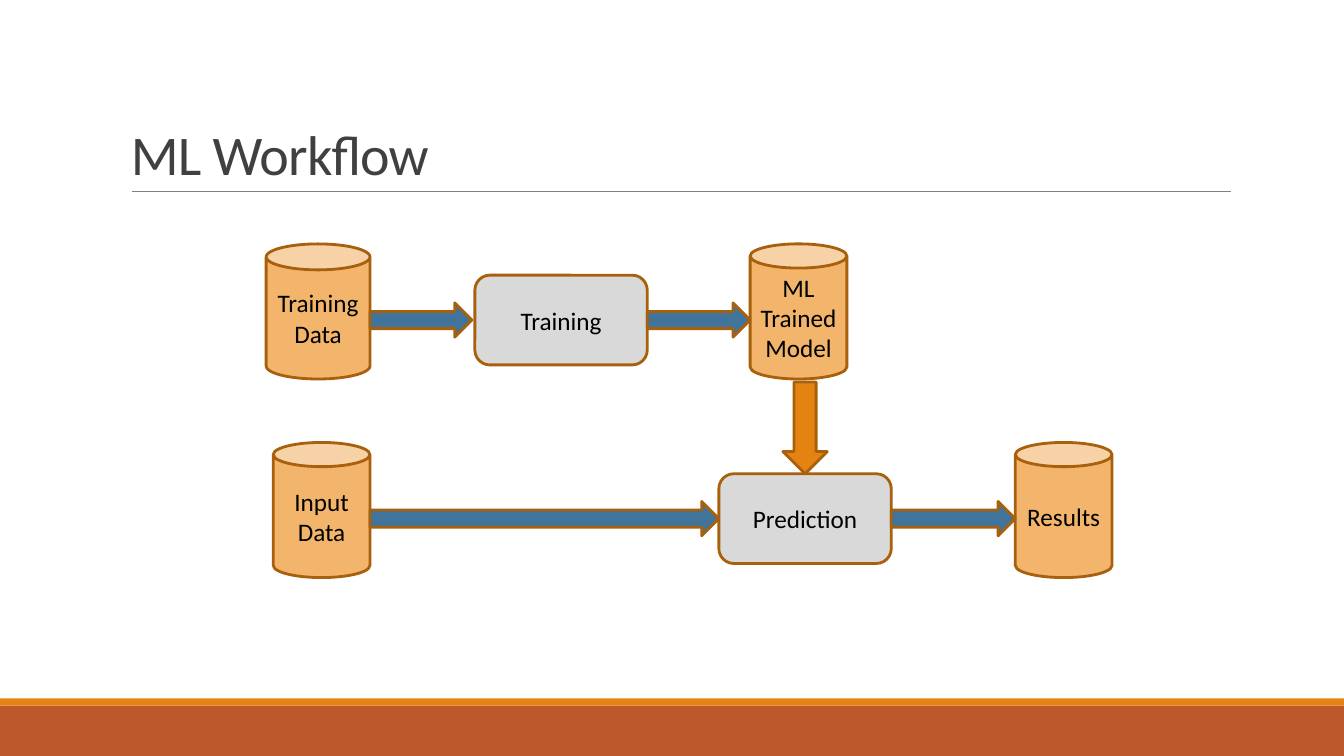
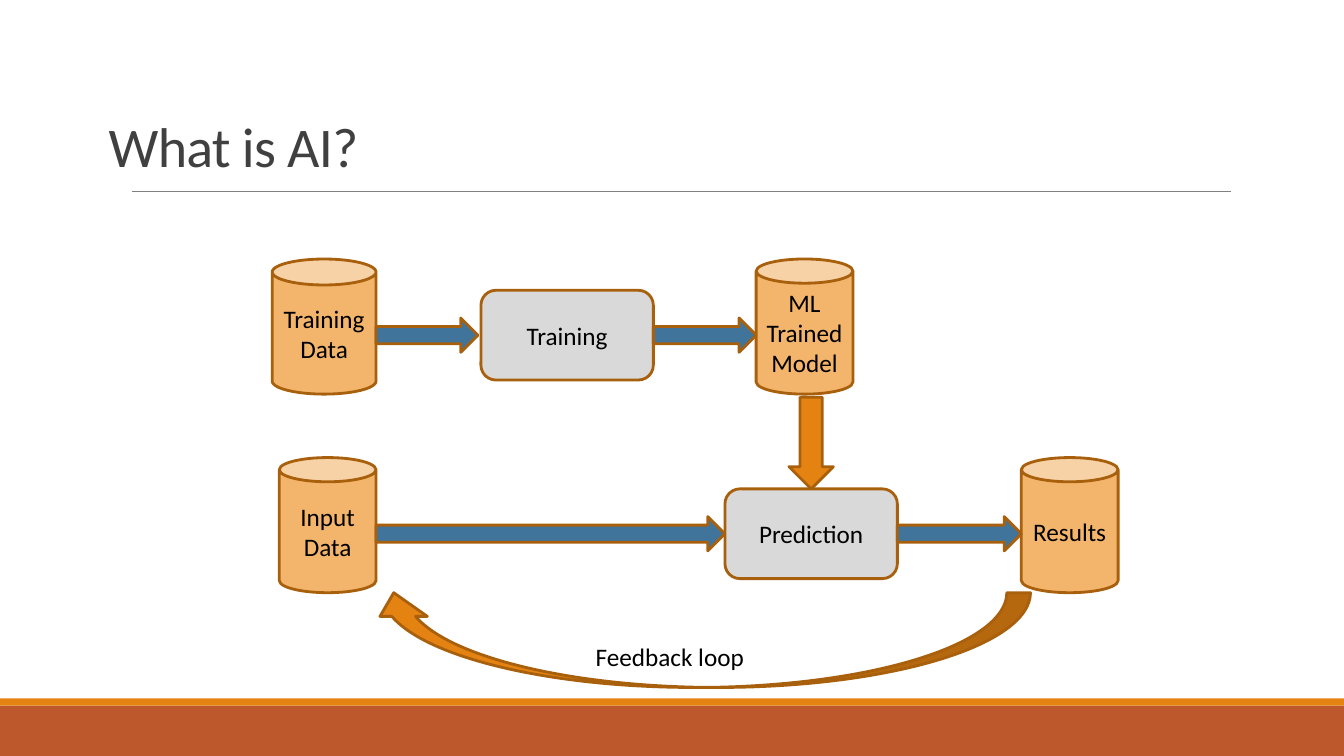
from pptx import Presentation
from pptx.dml.color import RGBColor
from pptx.enum.shapes import MSO_CONNECTOR as Connector, MSO_SHAPE as Shape
from pptx.enum.text import MSO_ANCHOR as Anchor, PP_ALIGN as Align
from pptx.oxml.ns import qn
from pptx.util import Emu, Pt
from lxml import etree

# One px is a hundredth of an inch
PX = 9144
SLIDE_WIDTH, SLIDE_HEIGHT = 1333, 750

RUST = RGBColor(0xBD, 0x58, 0x2C)
ORANGE = RGBColor(0xE4, 0x83, 0x12)
BROWN = RGBColor(0xA8, 0x60, 0x0D)
PEACH = RGBColor(0xF3, 0xB5, 0x6C)
LIGHT_GRAY = RGBColor(0xD9, 0xD9, 0xD9)
RULE_GRAY = RGBColor(0x80, 0x80, 0x80)
TITLE_GRAY = RGBColor(0x40, 0x40, 0x40)
BLUE = RGBColor(0x40, 0x74, 0x9B)
BLACK = RGBColor(0, 0, 0)

BODY_FONT = {"name": "Calibri", "size": Pt(18)}
TITLE_FONT = {"name": "Calibri", "size": Pt(40)}

# Workflow parts, relative to the diagram box
DATA, PROCESS = (Shape.CAN, PEACH), (Shape.ROUNDED_RECTANGLE, LIGHT_GRAY)
NODES = {
    "Training Data": (DATA, (0, 0, 103, 134)),
    "Input\nData": (DATA, (7, 197, 96, 134)),
    "ML\nTrained\nModel": (DATA, (480, 0, 96, 134)),
    "Results": (DATA, (743, 197, 96, 134)),
    "Training": (PROCESS, (207, 31, 171, 89)),
    "Prediction": (PROCESS, (449, 228, 171, 89)),
}
# Source, target, gap left before the target
LINKS = [
    ("Training Data", "Training", 3),
    ("Training", "ML\nTrained\nModel", 0),
    ("Input\nData", "Prediction", 0),
    ("Prediction", "Results", 0),
]
ARROW_HEIGHT, DOWN_ARROW_WIDTH, DOWN_ARROW_GAP = 34, 44, 3
DIAGRAM_HEIGHT = 331


def to_emu(*lengths):
    return [Emu(round(length * PX)) for length in lengths]


def add_block(slide, kind, box, fill, line=BROWN):
    shape = slide.shapes.add_shape(kind, *to_emu(*box))
    shape.shadow.inherit = False
    shape.fill.solid()
    shape.fill.fore_color.rgb = fill
    if line is None:
        shape.line.fill.background()
    else:
        shape.line.color.rgb = line
        shape.line.width = Pt(2)
    return shape


def write_text(shape, text, font=BODY_FONT, color=BLACK, align=Align.LEFT,
               anchor=Anchor.TOP, side_inset=10):
    frame = shape.text_frame
    inset, = to_emu(side_inset)
    frame_format = {"word_wrap": True, "vertical_anchor": anchor,
                    "margin_left": inset, "margin_right": inset}
    for name, value in frame_format.items():
        setattr(frame, name, value)
    paragraph = frame.paragraphs[0]
    paragraph.text = text
    paragraph.alignment = align
    for run in paragraph.runs:
        for name, value in font.items():
            setattr(run.font, name, value)
        run.font.color.rgb = color
    return paragraph


def add_frame(slide):
    # Footer bands
    add_block(slide, Shape.RECTANGLE, (0, 700, SLIDE_WIDTH, 50), RUST, None)
    add_block(slide, Shape.RECTANGLE, (0, 693, SLIDE_WIDTH, 7), ORANGE, None)
    # Rule under the title
    rule = slide.shapes.add_connector(Connector.STRAIGHT, *to_emu(131, 190, 1221, 190))
    rule.line.color.rgb = RULE_GRAY
    rule.line.width = Pt(0.5)
    etree.SubElement(rule._element.spPr, qn("a:effectLst"))


def add_title(slide, text, box):
    title = slide.shapes.add_textbox(*to_emu(*box))
    paragraph = write_text(title, text, TITLE_FONT, TITLE_GRAY, anchor=Anchor.BOTTOM)
    paragraph.line_spacing = 0.85
    for run in paragraph.runs:
        run._r.get_or_add_rPr().set("spc", "-50")


def add_workflow(slide, left, top):
    boxes = {}
    for text, ((kind, fill), (x, y, width, height)) in NODES.items():
        boxes[text] = (left + x, top + y, width, height)
        node = add_block(slide, kind, boxes[text], fill)
        write_text(node, text, align=Align.CENTER, anchor=Anchor.MIDDLE, side_inset=5)

    # Arrows to the right, level with the process of their row
    for source, target, gap in LINKS:
        x, y, width, height = boxes[source]
        target_x, target_y, _, target_height = boxes[target]
        middle = max(y + height / 2, target_y + target_height / 2)
        start = x + width
        add_block(slide, Shape.RIGHT_ARROW,
                  (start, middle - ARROW_HEIGHT / 2, target_x - gap - start, ARROW_HEIGHT),
                  BLUE)

    # Arrow down from the model, centred on the prediction
    _, y, _, height = boxes["ML\nTrained\nModel"]
    target_x, target_y, target_width, _ = boxes["Prediction"]
    start = y + height + DOWN_ARROW_GAP
    add_block(slide, Shape.DOWN_ARROW,
              (target_x + (target_width - DOWN_ARROW_WIDTH) / 2, start,
               DOWN_ARROW_WIDTH, target_y - start), ORANGE)


def add_feedback(slide, left, top):
    loop = add_block(slide, Shape.CURVED_DOWN_ARROW,
                     (left + 97, top + DIAGRAM_HEIGHT, 655, 94), ORANGE)
    loop.rotation = 180
    label = slide.shapes.add_textbox(*to_emu(left + 311, top + 374, 173, 70))
    write_text(label, "Feedback loop")


def add_workflow_slide(presentation, title, title_box, corner, feedback=False):
    slide = presentation.slides.add_slide(presentation.slide_layouts[6])
    add_frame(slide)
    add_title(slide, title, title_box)
    add_workflow(slide, *corner)
    if feedback:
        add_feedback(slide, *corner)


def main():
    presentation = Presentation()
    presentation.slide_width, presentation.slide_height = to_emu(SLIDE_WIDTH, SLIDE_HEIGHT)
    add_workflow_slide(presentation, "ML Workflow", (120, 31, 1100, 159), (264, 242))
    add_workflow_slide(presentation, "What is AI?", (98, 37, 1150, 145), (270, 257),
                       feedback=True)
    presentation.save("out.pptx")


if __name__ == "__main__":
    main()
